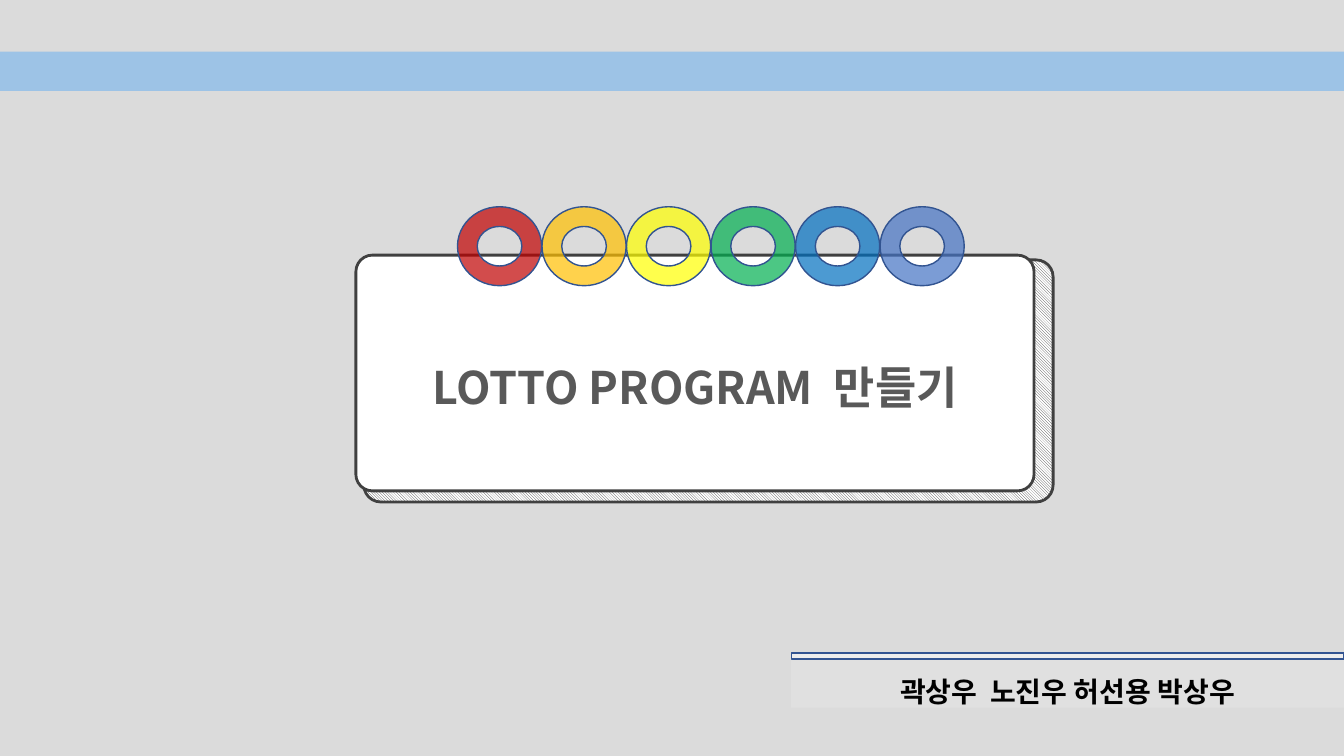
"""Builds the title slide of the lotto program talk."""
import pptx
import pptx.dml.color
import pptx.enum.dml
import pptx.enum.shapes
import pptx.enum.text
import pptx.oxml
import pptx.oxml.ns
import pptx.util
from pptx.util import Cm

TITLE = "LOTTO PROGRAM  만들기"
AUTHORS = "곽상우  노진우 허선용 박상우"
RING_COLORS = ["C00000", "FFC000", "FFFF00", "00B050", "0070C0", "4472C4"]

THEME = {
    "background": "DBDBDB", "band": "9DC3E6", "panel": "E7E6E6", "rule": "EDEDED",
    "outline": "325491", "ink": "404040", "white": "FFFFFF",
    "title": "595959", "authors": "000000",
    "title_size": 32, "authors_size": 20,
    "title_font": "Noto Sans CJK KR", "authors_font": "Arial",
}

SLIDE_W, SLIDE_H = 33.87, 19.05
BAND = (0, 1.3, SLIDE_W, 0.99)
PANEL = (19.94, 16.46, SLIDE_W - 19.94, 1.37)
RULE = (*PANEL[:3], 0.15)
CARD_BACK = (9.17, 6.55, 17.37, 6.1)
CARD = (8.97, 6.43, 17.09, 5.94)
RING_LEFT, RING_TOP, RING_W, RING_H, RING_PITCH = 11.53, 5.21, 2.12, 1.99, 2.13

SHAPE = pptx.enum.shapes.MSO_SHAPE
ANCHOR = pptx.enum.text.MSO_ANCHOR


def rgb(value):
    """Turn a hex string into a colour."""
    return pptx.dml.color.RGBColor.from_string(value)


def add_box(slide, kind, box, fill, line=None, width=1, opacity=100, corner=None):
    """Add a preset shape with a plain fill and an optional outline."""
    sp = slide.shapes.add_shape(kind, *(Cm(v) for v in box))
    sp.shadow.inherit = False
    sp.fill.solid()
    sp.fill.fore_color.rgb = rgb(fill)
    if opacity < 100:
        color = sp.fill._xPr.find(".//" + pptx.oxml.ns.qn("a:srgbClr"))
        alpha = pptx.oxml.parse_xml(
            f'<a:alpha {pptx.oxml.ns.nsdecls("a")} val="{opacity * 1000}"/>')
        color.append(alpha)
    if line:
        sp.line.color.rgb = rgb(line)
        sp.line.width = pptx.util.Pt(width)
    else:
        sp.line.fill.background()
    if corner is not None:
        sp.adjustments[0] = corner
    return sp


def write(sp, text, *, font, size, color, anchor):
    """Put one centred bold line of text into a shape."""
    tf = sp.text_frame
    tf.word_wrap = True
    tf.vertical_anchor = anchor
    p = tf.paragraphs[0]
    p.alignment = pptx.enum.text.PP_ALIGN.CENTER
    p.line_spacing = 1.5
    r = p.add_run()
    r.text = text
    r.font.name = font
    r.font.size = pptx.util.Pt(size)
    r.font.bold = True
    r.font.color.rgb = rgb(color)
    ea = pptx.oxml.parse_xml(
        f'<a:ea {pptx.oxml.ns.nsdecls("a")} typeface="{THEME["title_font"]}"/>')
    r.font._element.append(ea)


def main():
    """Build and save the slide."""
    prs = pptx.Presentation()
    prs.slide_width, prs.slide_height = Cm(SLIDE_W), Cm(SLIDE_H)
    slide = prs.slides.add_slide(prs.slide_layouts[6])
    slide.background.fill.solid()
    slide.background.fill.fore_color.rgb = rgb(THEME["background"])

    panel = add_box(slide, SHAPE.RECTANGLE, PANEL, THEME["panel"], opacity=48)
    write(panel, AUTHORS, font=THEME["authors_font"], size=THEME["authors_size"],
          color=THEME["authors"], anchor=ANCHOR.TOP)
    add_box(slide, SHAPE.RECTANGLE, RULE, THEME["rule"], THEME["outline"])

    back = add_box(slide, SHAPE.ROUNDED_RECTANGLE, CARD_BACK, THEME["white"],
                   THEME["ink"], width=2, corner=0.07)
    back.fill.patterned()
    back.fill.pattern = pptx.enum.dml.MSO_PATTERN.DARK_DOWNWARD_DIAGONAL
    back.fill.fore_color.rgb = rgb(THEME["ink"])
    back.fill.back_color.rgb = rgb(THEME["white"])

    card = add_box(slide, SHAPE.ROUNDED_RECTANGLE, CARD, THEME["white"],
                   THEME["ink"], width=2, corner=0.07)
    write(card, TITLE, font=THEME["title_font"], size=THEME["title_size"],
          color=THEME["title"], anchor=ANCHOR.MIDDLE)

    for i, color in enumerate(RING_COLORS):
        ring = (RING_LEFT + i * RING_PITCH, RING_TOP, RING_W, RING_H)
        add_box(slide, SHAPE.DONUT, ring, color, THEME["outline"], opacity=70)

    add_box(slide, SHAPE.RECTANGLE, BAND, THEME["band"])
    prs.save("out.pptx")


if __name__ == "__main__":
    main()
